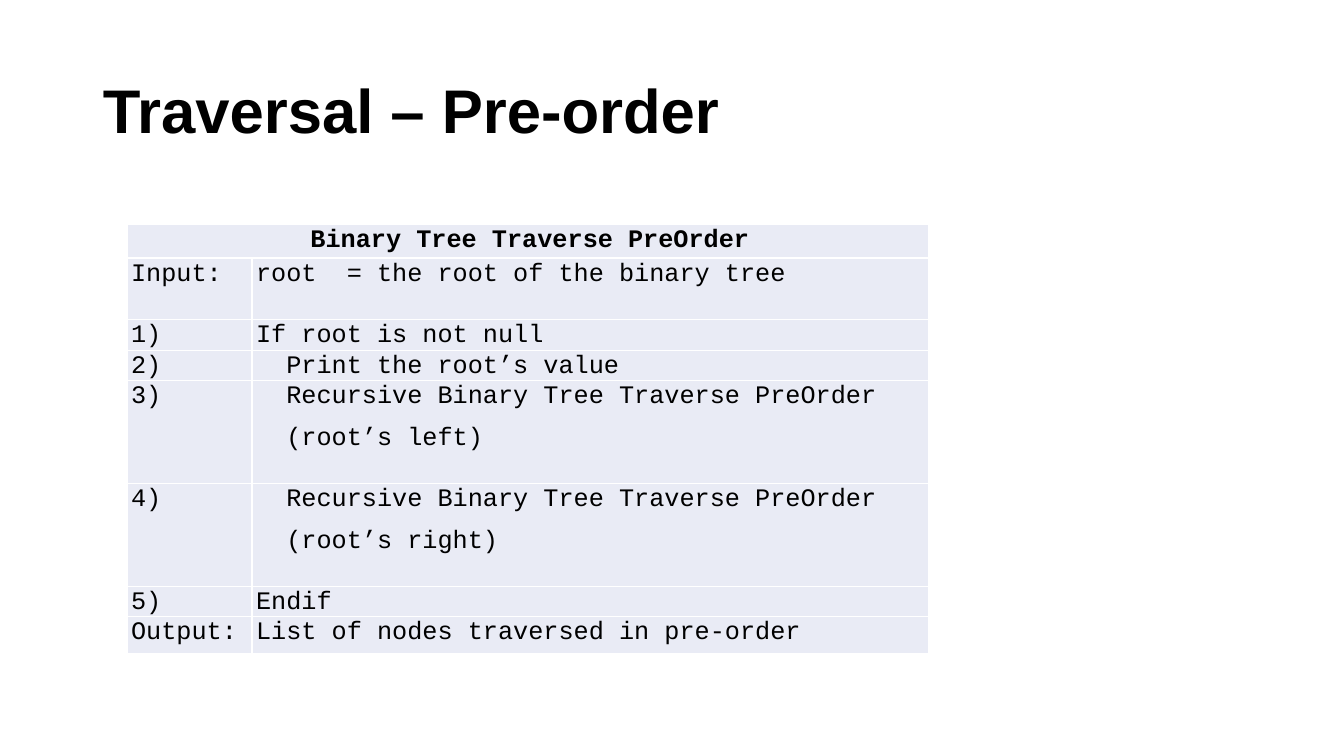
from pptx import Presentation
from pptx.dml.color import RGBColor
from pptx.enum import text as tx
from pptx.oxml import parse_xml
from pptx.oxml.ns import nsdecls
from pptx.util import Inches, Pt

STEPS = [
    ("Input:", "root  = the root of the binary tree"),
    ("1)", "If root is not null"),
    ("2)", "  Print the root’s value"),
    ("3)", "  Recursive Binary Tree Traverse PreOrder\n  (root’s left)"),
    ("4)", "  Recursive Binary Tree Traverse PreOrder\n  (root’s right)"),
    ("5)", "Endif"),
    ("Output:", "List of nodes traversed in pre-order"),
]
WIDTHS = [1.24, 6.71]
HEIGHTS = [0.33, 0.61, 0.3, 0.3, 1.02, 1.02, 0.3, 0.36]


def color(code):
    return RGBColor.from_string(code)


def write(frame, words, font, size, bold=False, align=None, line=1.0, after=0, indent=0):
    """Fill a text frame, one paragraph for each line of words."""
    for i, row in enumerate(words.split("\n")):
        para = frame.add_paragraph() if i else frame.paragraphs[0]
        props = para._p.get_or_add_pPr()
        props.set("marL", str(Inches(indent)))
        props.set("indent", "0")
        para.alignment = align
        para.line_spacing = line
        para.space_before = Pt(0)
        para.space_after = Pt(after)
        run = para.add_run()
        run.text = row
        run.font.name = font
        run.font.size = Pt(size)
        run.font.bold = bold
        run.font.color.rgb = color("000000")


class Deck:
    head = "Arial"
    code = "Courier New"
    fill = "E9EBF5"
    rule = "FFFFFF"

    def __init__(self):
        self.show = Presentation()
        self.show.slide_width = Inches(13.33)
        self.show.slide_height = Inches(7.5)
        self.slide = self.show.slides.add_slide(self.show.slide_layouts[5])

    def title(self, words, left, top, width, height):
        box = self.slide.shapes.title
        box.left, box.top = Inches(left), Inches(top)
        box.width, box.height = Inches(width), Inches(height)
        box.text_frame.word_wrap = True
        box.text_frame.vertical_anchor = tx.MSO_ANCHOR.MIDDLE
        write(box.text_frame, words, self.head, 44, bold=True,
              align=tx.PP_ALIGN.LEFT, line=0.9)

    def cell(self, cell, words, bold=False, align=tx.PP_ALIGN.LEFT):
        self.style(cell)
        write(cell.text_frame, words, self.code, 18, bold=bold, align=align,
              line=1.07, after=8, indent=0.04)

    def style(self, cell):
        """Set the margins, borders and fill of a cell."""
        cell.margin_left = cell.margin_right = 0
        cell.margin_top = cell.margin_bottom = 0
        props = cell._tc.get_or_add_tcPr()
        for side in "LRTB":
            props.append(parse_xml(
                f'<a:ln{side} {nsdecls("a")} w="{Pt(1)}"><a:solidFill>'
                f'<a:srgbClr val="{self.rule}"/></a:solidFill></a:ln{side}>'))
        cell.fill.solid()
        cell.fill.fore_color.rgb = color(self.fill)

    def table(self, head, rows, left, top, widths, heights):
        """Add a table whose first row is one merged heading."""
        grid = self.slide.shapes.add_table(
            len(heights), len(widths), Inches(left), Inches(top),
            Inches(sum(widths)), Inches(sum(heights))).table
        grid.first_row = grid.horz_banding = False
        for col, width in zip(grid.columns, widths):
            col.width = Inches(width)
        for row, height in zip(grid.rows, heights):
            row.height = Inches(height)
        top_left, top_right = grid.cell(0, 0), grid.cell(0, len(widths) - 1)
        top_left.merge(top_right)
        self.cell(top_left, head, bold=True, align=tx.PP_ALIGN.CENTER)
        self.style(top_right)
        for r, row in enumerate(rows, 1):
            for c, words in enumerate(row):
                self.cell(grid.cell(r, c), words)


def main():
    deck = Deck()
    deck.title("Traversal – Pre-order", 0.92, 0.4, 11.5, 1.45)
    deck.table("Binary Tree Traverse PreOrder", STEPS, 1.26, 2.23, WIDTHS, HEIGHTS)
    deck.show.save("out.pptx")


if __name__ == "__main__":
    main()
